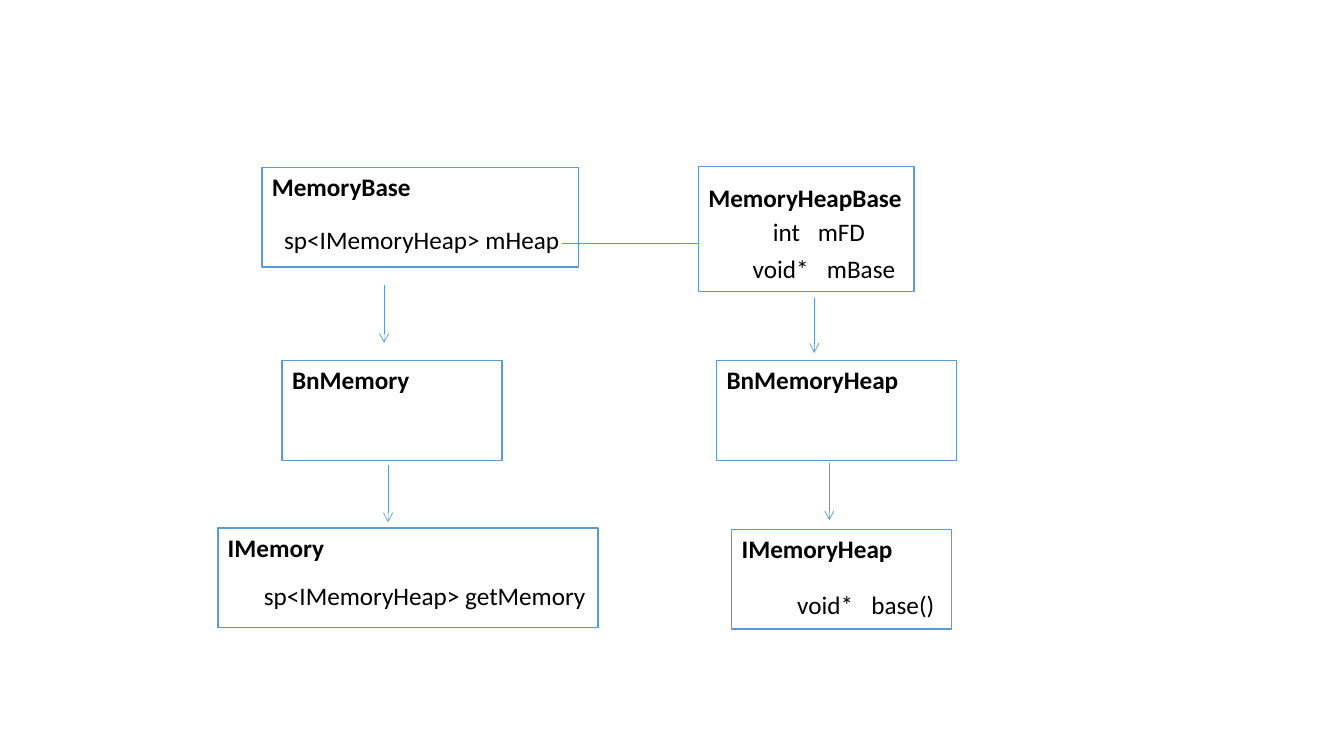
from lxml.etree import SubElement
from pptx import Presentation
from pptx.dml.color import RGBColor
from pptx.enum.shapes import MSO_CONNECTOR, MSO_SHAPE
from pptx.enum.text import MSO_ANCHOR, PP_ALIGN
from pptx.oxml.ns import qn
from pptx.util import Cm, Pt

COLORS = {"line": "5B9BD5", "fill": "FFFFFF", "text": "000000"}
FONT, SIZE = "Calibri", 18

# All lengths are in centimetres.
BOX_H, MEMBER_H = 2.51, 1.02
HEADING_BLOCK = 2.32  # three text lines: the class name and two for members

# class name, left, top, width, height
CLASSES = [
    ("MemoryBase", 6.6, 4.22, 7.98, BOX_H),
    ("MemoryHeapBase", 17.6, 4.19, 5.44, 3.15),
    ("BnMemory", 7.11, 9.09, 5.54, BOX_H),
    ("BnMemoryHeap", 18.06, 9.09, 6.05, BOX_H),
    ("IMemory", 5.49, 13.31, 9.58, BOX_H),
    ("IMemoryHeap", 18.44, 13.34, 5.54, BOX_H),
]

# member, left, top, width, tab stop between type and name
MEMBERS = [
    ("sp<IMemoryHeap> mHeap", 6.91, 5.54, 7.87, None),
    ("int\tmFD", 19.23, 5.33, 3.76, 1.13),
    ("void*\tmBase", 18.72, 6.27, 4.32, 1.87),
    ("sp<IMemoryHeap> getMemory", 6.4, 14.5, 8.64, None),
    ("void*\tbase()", 19.84, 14.73, 4.17, 1.87),
]

# x, top, length
ARROWS = [
    (9.68, 7.19, 1.45),
    (20.52, 7.52, 1.37),
    (9.78, 11.71, 1.45),
    (20.9, 11.66, 1.45),
]
HEAP_LINK = (14.17, 6.12, 17.58, 6.12)


def color(name):
    return RGBColor.from_string(COLORS[name])


def write(tf, text, bold=False):
    p = tf.paragraphs[0]
    p.alignment = PP_ALIGN.LEFT
    r = p.add_run()
    r.text = text
    r.font.name, r.font.size, r.font.bold = FONT, Pt(SIZE), bold
    r.font.color.rgb = color("text")
    return p


def add_class(s, name, left, top, width, height):
    sp = s.shapes.add_shape(MSO_SHAPE.RECTANGLE, Cm(left), Cm(top), Cm(width), Cm(height))
    sp.shadow.inherit = False
    sp.fill.solid()
    sp.fill.fore_color.rgb = color("fill")
    sp.line.color.rgb = color("line")
    sp.line.width = Pt(1)
    tf = sp.text_frame
    tf.word_wrap = True
    tf.vertical_anchor = MSO_ANCHOR.TOP
    tf.margin_top = Cm((height - HEADING_BLOCK) / 2)
    write(tf, name, bold=True)


def add_member(s, text, left, top, width, tab):
    tf = s.shapes.add_textbox(Cm(left), Cm(top), Cm(width), Cm(MEMBER_H)).text_frame
    tf.word_wrap = True
    p = write(tf, text)
    if tab:
        tabs = SubElement(p._p.get_or_add_pPr(), qn("a:tabLst"))
        SubElement(tabs, qn("a:tab"), pos=str(Cm(tab)), algn="l")


def add_line(s, x1, y1, x2, y2, arrow=False):
    line = s.shapes.add_connector(MSO_CONNECTOR.STRAIGHT, Cm(x1), Cm(y1), Cm(x2), Cm(y2))
    line.line.color.rgb = color("line")
    line.line.width = Pt(0.5)
    if arrow:
        SubElement(line.line._get_or_add_ln(), qn("a:tailEnd"), type="arrow")
    SubElement(line._element.spPr, qn("a:effectLst"))


def main():
    prs = Presentation()
    prs.slide_width, prs.slide_height = Cm(33.87), Cm(19.05)
    s = prs.slides.add_slide(prs.slide_layouts[6])
    for box in CLASSES:
        add_class(s, *box)
    for member in MEMBERS:
        add_member(s, *member)
    add_line(s, *HEAP_LINK)
    for x, top, length in ARROWS:
        add_line(s, x, top, x, top + length, arrow=True)
    prs.save("out.pptx")


if __name__ == "__main__":
    main()
